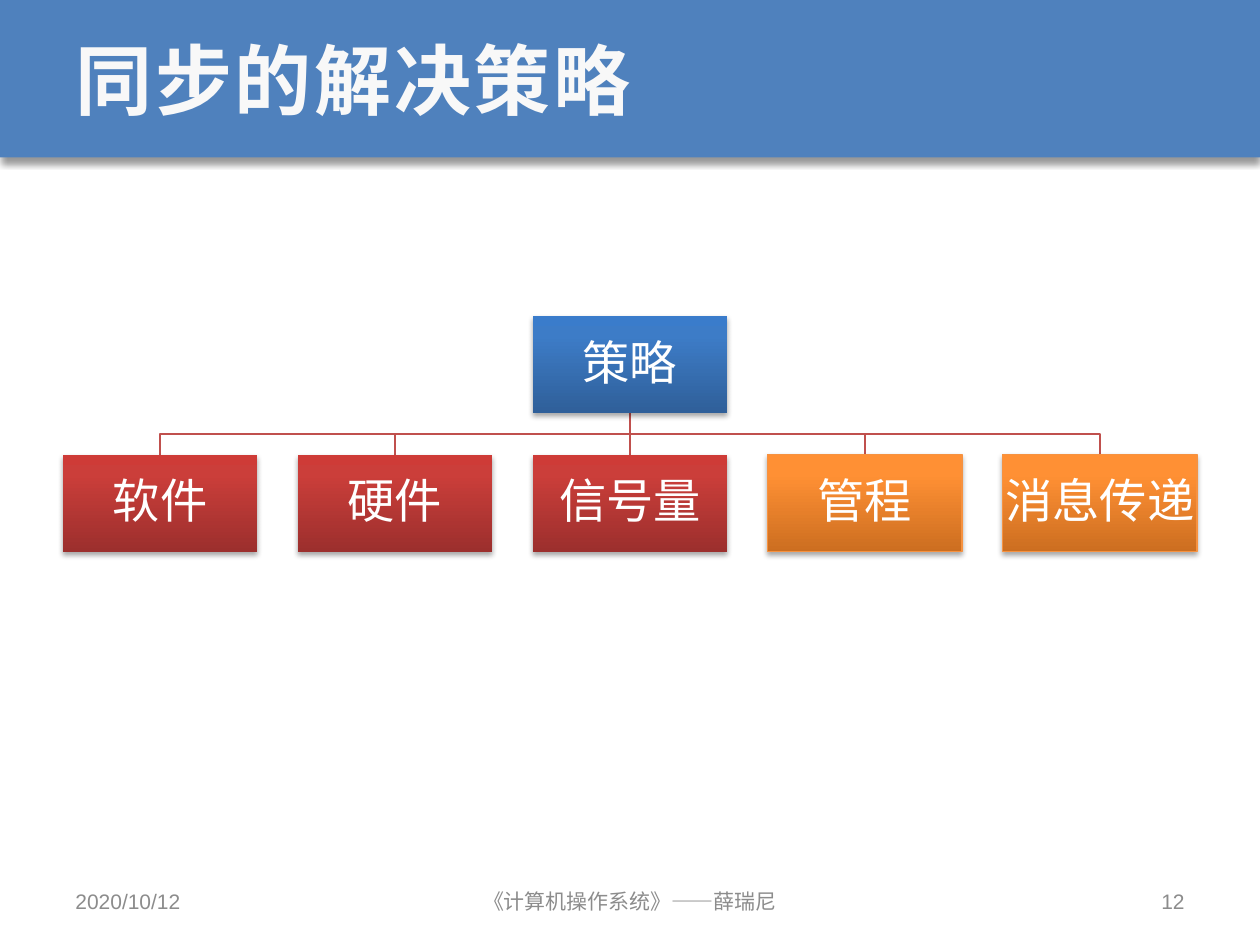
import pptx
import pptx.util
import pptx.dml.color
import pptx.enum.shapes
import pptx.enum.text
import pptx.oxml
from pptx.oxml.ns import nsdecls

Inches, Pt = pptx.util.Inches, pptx.util.Pt
ALIGN = pptx.enum.text.PP_ALIGN
MID = pptx.enum.text.MSO_ANCHOR.MIDDLE
RECT = pptx.enum.shapes.MSO_SHAPE.RECTANGLE
WIDE, HIGH = 10, 7.5
SIDE = WIDE / 20
SANS, MONO = "Arial", "DejaVu Sans Mono"

# Gradient stops run from the bottom of a box to its top
BLUE = ["2F5F99", "3D7CC7", "3A7CCB"]
RED = ["9C2F2D", "CB3E3A", "CE3B37"]
GOLD = ["CC6E20", "FF9034", "FF9136"]
LEAVES = [("软件", RED), ("硬件", RED), ("信号量", RED),
          ("管程", GOLD), ("消息传递", GOLD)]


def color(code):
    return pptx.dml.color.RGBColor.from_string(code)


def write(frame, text, size, font, code, align, inset=None):
    """Put one run, centred in height, into a text frame."""
    frame.word_wrap = True
    frame.vertical_anchor = MID
    if inset is not None:
        frame.margin_left = frame.margin_right = Inches(inset)
        frame.margin_top = frame.margin_bottom = Inches(inset)
    para = frame.paragraphs[0]
    para.alignment = align
    run = para.add_run()
    run.text = text
    run.font.size, run.font.name = Pt(size), font
    run.font.color.rgb = color(code)
    return para, run


def shade(shape, alpha, blur, dist):
    """Cast a soft black shadow straight down."""
    shape._element.spPr.append(pptx.oxml.parse_xml(
        f'<a:effectLst {nsdecls("a")}><a:outerShdw blurRad="{Pt(blur)}" '
        f'dist="{Pt(dist)}" dir="5400000" algn="ctr" rotWithShape="0">'
        f'<a:srgbClr val="000000"><a:alpha val="{alpha * 1000}"/></a:srgbClr>'
        '</a:outerShdw></a:effectLst>'))


def blend(shape, codes):
    """Fill a shape with an upright three-stop gradient."""
    stops = "".join(f'<a:gs pos="{pos * 1000}"><a:srgbClr val="{code}"/></a:gs>'
                    for pos, code in zip((0, 80, 100), codes))
    shape._element.spPr.insert(2, pptx.oxml.parse_xml(
        f'<a:gradFill rotWithShape="1" {nsdecls("a")}><a:gsLst>{stops}</a:gsLst>'
        '<a:lin ang="16200000" scaled="0"/></a:gradFill>'))


def header(slide, left, top, width, height):
    """Coloured band with the title over it."""
    band = slide.shapes.add_shape(RECT, *map(Inches, (left, top, width, height)))
    band.fill.solid()
    band.fill.fore_color.rgb = color("4F81BD")
    band.line.fill.background()
    shade(band, 40, 4, 3)
    title = slide.shapes.title
    slide.shapes._spTree.append(title._element)
    title.left, title.top = Inches(left + SIDE), Inches(top)
    title.width, title.height = Inches(width - 2 * SIDE), Inches(height)
    run = write(title.text_frame, "同步的解决策略", 44, MONO, "F8F8F8", ALIGN.LEFT)[1]
    run.font.bold = True
    run.font._element.set("spc", "150")


def node(slide, text, codes, left, top, width, height):
    """One box of the tree."""
    box = slide.shapes.add_shape(RECT, *map(Inches, (left, top, width, height)))
    if codes is GOLD:
        box.line.color.rgb = color("F69240")
        box.line.width = Pt(0.75)
    else:
        box.line.fill.background()
    blend(box, codes)
    shade(box, 35, 3.1, 1.8)
    para = write(box.text_frame, text, 27, SANS, "FFFFFF", ALIGN.CENTER, 0.02)[0]
    para.line_spacing = 0.9


def branch(slide, start, end):
    """Stepped line from the root down to a leaf."""
    (x1, y1), (x2, y2) = start, end
    half = (y1 + y2) / 2
    build = slide.shapes.build_freeform(Inches(x1), Inches(y1))
    steps = [(x1, half), (x2, half), end] if x1 != x2 else [end]
    build.add_line_segments([(Inches(x), Inches(y)) for x, y in steps], close=False)
    line = build.convert_to_shape()
    line.shadow.inherit = False
    line.fill.background()
    line.line.color.rgb = color("C0504D")
    line.line.width = Pt(0.75)


def tree(slide, left, top, width, height):
    """Root over a row of leaves, with gaps of 0.21 of a box width."""
    count = len(LEAVES)
    wide = width / (count + 0.21 * (count - 1))
    step = 1.21 * wide
    high = wide / 2
    row = top + height - high
    root = left + (width - wide) / 2
    mid = left + width / 2
    for i in range(count):
        # The middle leaf sits exactly under the root
        end = mid + (i - count // 2) * step
        branch(slide, (mid, top + high), (end, row))
    node(slide, "策略", BLUE, root, top, wide, high)
    for i, (text, codes) in enumerate(LEAVES):
        node(slide, text, codes, left + i * step, row, wide, high)


def footer(slide, left, top, width, height):
    """Date, course and page number, in columns of 7, 13 and 7 parts."""
    unit = width / 27
    for text, font, align, col, span in [
            ("2020/10/12", SANS, ALIGN.LEFT, 0, 7),
            ("《计算机操作系统》——薛瑞尼", MONO, ALIGN.CENTER, 7, 13),
            ("12", SANS, ALIGN.RIGHT, 20, 7)]:
        area = (left + col * unit, top, span * unit, height)
        box = slide.shapes.add_textbox(*map(Inches, area))
        write(box.text_frame, text, 12, font, "8C8C8C", align)


def main():
    deck = pptx.Presentation()
    deck.slide_width, deck.slide_height = Inches(WIDE), Inches(HIGH)
    slide = deck.slides.add_slide(deck.slide_layouts[5])
    header(slide, 0, 0, WIDE, HIGH / 6)
    tree(slide, SIDE, 2.51, WIDE - 2 * SIDE, 1.87)
    footer(slide, SIDE, 6.95, WIDE - 2 * SIDE, 0.4)
    deck.save("out.pptx")


if __name__ == "__main__":
    main()
